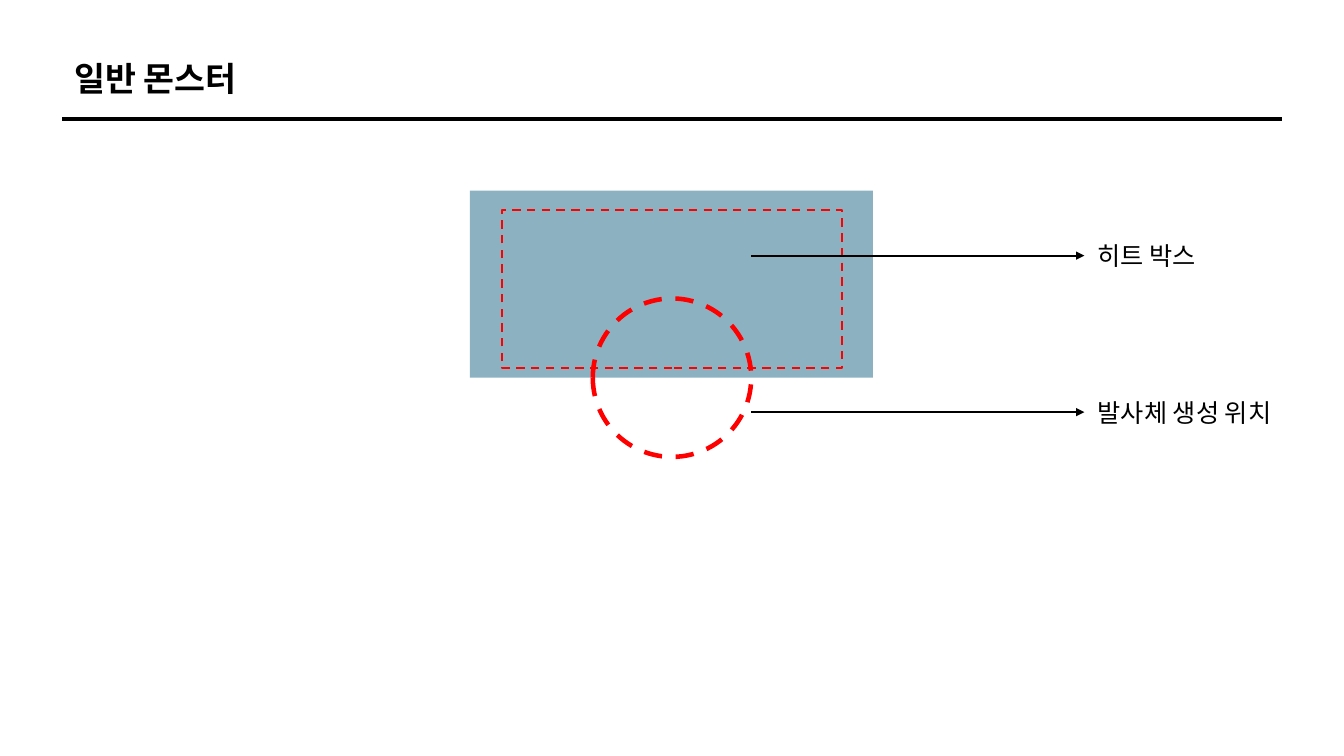
import pptx
import pptx.dml.color
import pptx.enum.dml
import pptx.enum.shapes
import pptx.enum.text
import pptx.oxml.ns
import pptx.oxml.xmlchemy
import pptx.util

Pt = pptx.util.Pt
OxmlElement = pptx.oxml.xmlchemy.OxmlElement
SHAPES = pptx.enum.shapes.MSO_SHAPE
BLACK = pptx.dml.color.RGBColor(0x00, 0x00, 0x00)
RED = pptx.dml.color.RGBColor(0xFF, 0x00, 0x00)
TEAL = pptx.dml.color.RGBColor(0x15, 0x60, 0x82)
FONT = "Noto Sans CJK KR"


def write_text(box, text, size, bold):
    frame = box.text_frame
    frame.word_wrap = True
    frame.auto_size = pptx.enum.text.MSO_AUTO_SIZE.NONE
    frame.vertical_anchor = pptx.enum.text.MSO_ANCHOR.MIDDLE
    para = frame.paragraphs[0]
    para.alignment = pptx.enum.text.PP_ALIGN.LEFT
    span = para.add_run()
    span.text = text
    for name, value in {"name": FONT, "size": Pt(size), "bold": bold}.items():
        setattr(span.font, name, value)
    span.font.color.rgb = BLACK
    east_asian = OxmlElement("a:ea")
    east_asian.set("typeface", FONT)
    span._r.rPr.find(pptx.oxml.ns.qn("a:latin")).addnext(east_asian)


def add_line(page, left, right, y, width, arrow):
    line = page.shapes.add_connector(
        pptx.enum.shapes.MSO_CONNECTOR.STRAIGHT, Pt(left), Pt(y), Pt(right), Pt(y))
    line.line.color.rgb = BLACK
    line.line.width = Pt(width)
    if arrow:
        tail = OxmlElement("a:tailEnd")
        tail.set("type", "triangle")
        line._element.spPr.find(pptx.oxml.ns.qn("a:ln")).append(tail)
    line._element.spPr.append(OxmlElement("a:effectLst"))


deck = pptx.Presentation()
deck.slide_width = Pt(960)
deck.slide_height = Pt(540)
page = deck.slides.add_slide(deck.slide_layouts[5])

title = page.shapes.title
placement = {"left": 46, "top": 38, "width": 454, "height": 36}
for name, value in placement.items():
    setattr(title, name, Pt(value))
write_text(title, "일반 몬스터", 24, True)
add_line(page, 44.6, 915.8, 85, 2.75, False)

monster = (SHAPES.RECTANGLE, 335.6, 136.2, 288, 133.6, None)
launch_point = (SHAPES.OVAL, 423.4, 213.2, 113.2, 113.2, 3.25)
hit_box = (SHAPES.RECTANGLE, 358.4, 149.8, 243.2, 112.8, 1.5)
for preset, left, top, width, height, outline in (monster, launch_point, hit_box):
    shape = page.shapes.add_shape(preset, Pt(left), Pt(top), Pt(width), Pt(height))
    shape.shadow.inherit = False
    if outline:
        shape.fill.background()
        shape.line.color.rgb = RED
        shape.line.width = Pt(outline)
        shape.line.dash_style = pptx.enum.dml.MSO_LINE.DASH
    else:
        shape.line.fill.background()
        shape.fill.solid()
        shape.fill.fore_color.rgb = TEAL
        alpha = OxmlElement("a:alpha")
        alpha.set("val", "49000")
        shape._element.spPr.find(".//" + pptx.oxml.ns.qn("a:srgbClr")).append(alpha)

for text, y in (("히트 박스", 182.6), ("발사체 생성 위치", 294.4)):
    add_line(page, 536.6, 774.6, y, 1.5, True)
    label = page.shapes.add_textbox(Pt(777), Pt(y - 14.5), Pt(169), Pt(29))
    write_text(label, text, 18, False)

deck.save("out.pptx")
